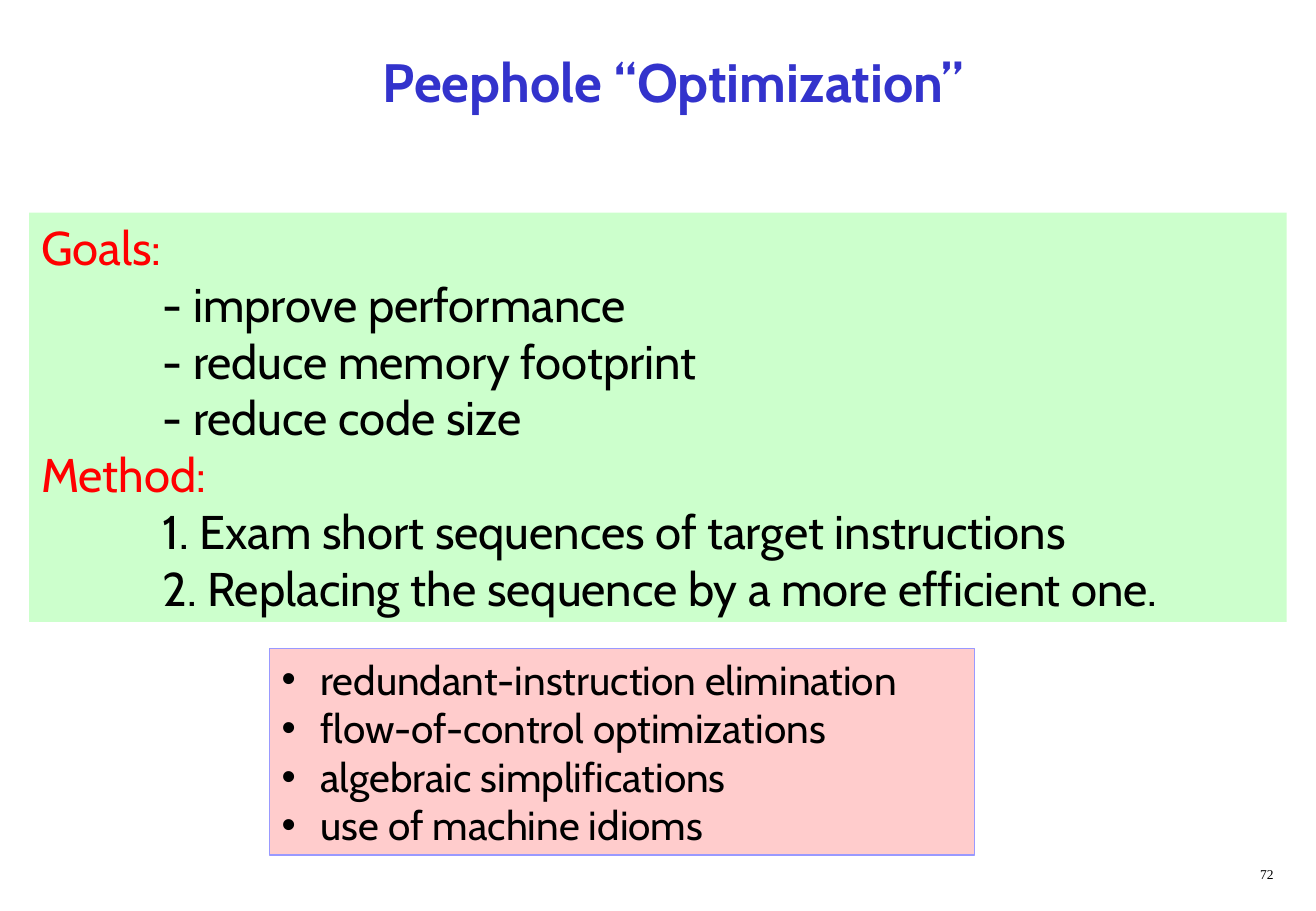
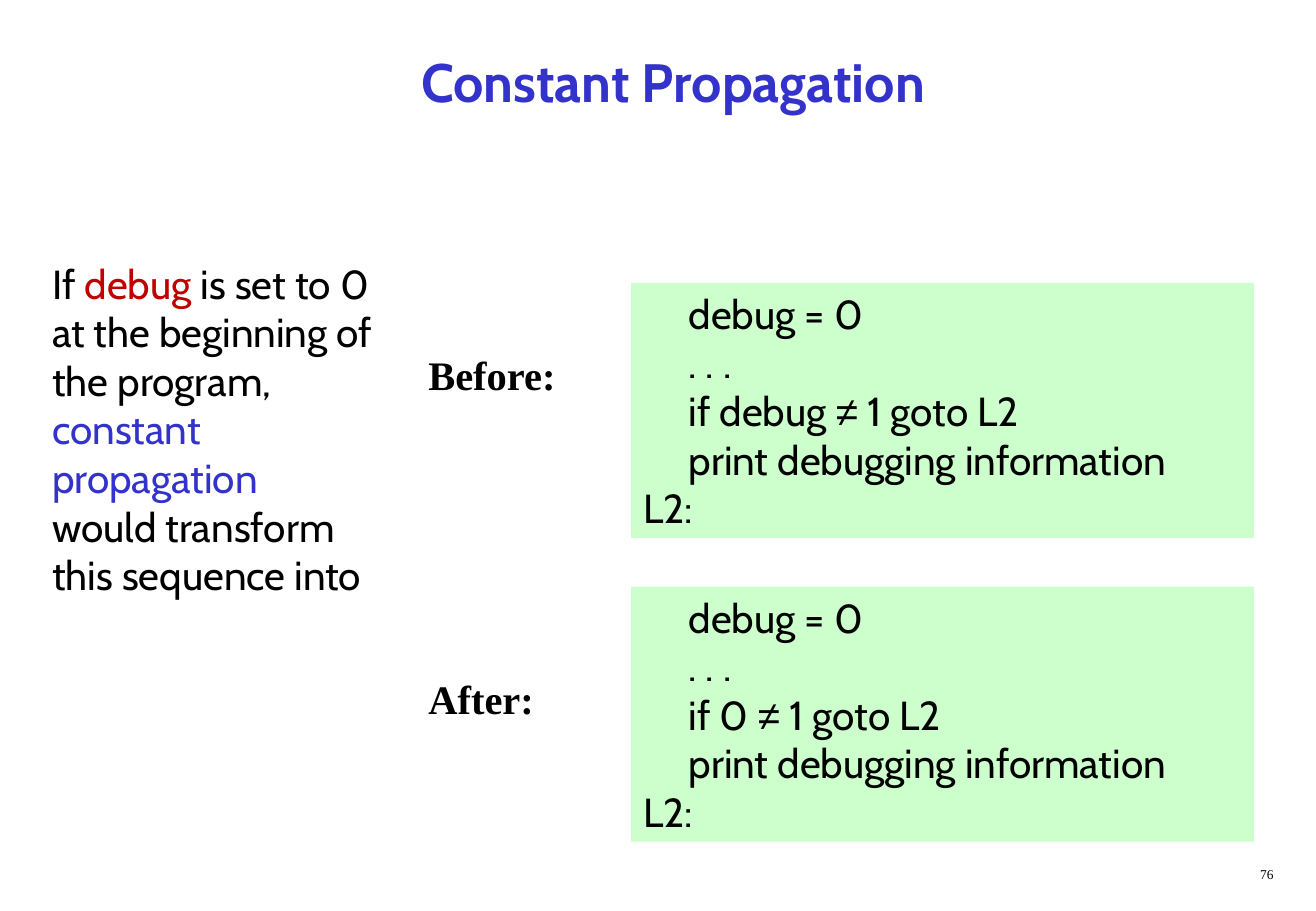
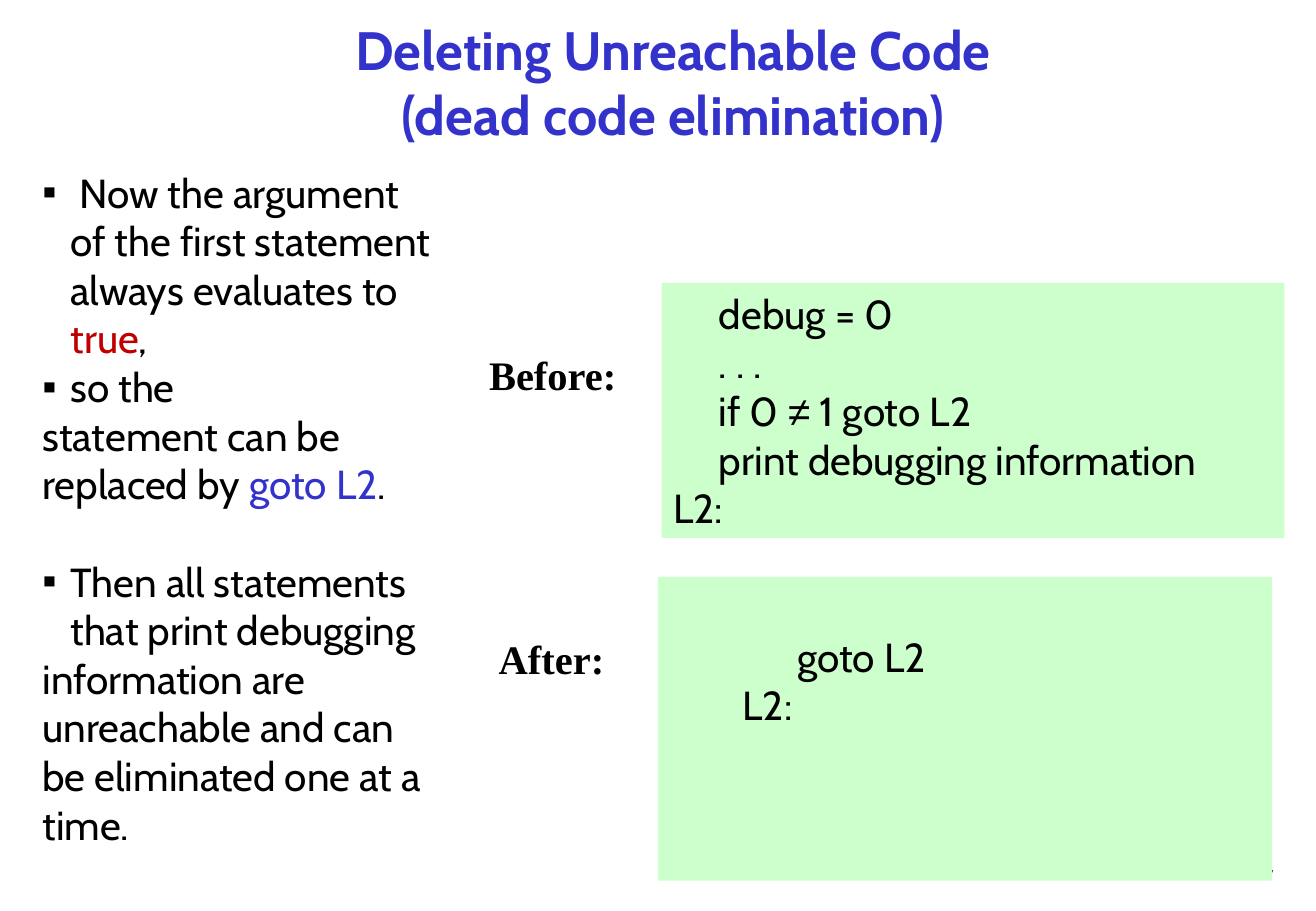
from lxml import etree
from pptx import Presentation
from pptx.dml.color import RGBColor
from pptx.enum import shapes, text
from pptx.oxml import ns
from pptx.util import Inches, Pt

COLORS = {"title": "3333CC", "black": "000000", "heading": "FF0000", "keyword": "C00000",
          "term": "3333CC", "green": "CCFFCC", "pink": "FFCCCC", "pink_line": "9999FF"}
SANS, SERIF, SYMBOL = "Cabin", "Times New Roman", "Arial"

GOALS = [
    ("Goals:", ["- improve performance", "- reduce memory footprint", "- reduce code size"]),
    ("Method:", ["1. Exam short sequences of target instructions",
                 "2. Replacing the sequence by a more efficient one."]),
]
DEBUG_TEST = ["     debug = 0", "     . . .", "     if debug ≠ 1 goto L2",
              "     print debugging information", "L2:"]
CONSTANT_TEST = [line.replace("if debug", "if 0") for line in DEBUG_TEST]
JUMP = ["              goto L2", "        L2:"]

# Body paragraphs: spans of (text, colour), with optional bullet, hang (inches) and gap (points)
SLIDES = [
    {"number": 72, "title": "Peephole “Optimization”",
     "body_at": (2.22, 5.34, 5.81, 1.7), "body_fill": "pink", "body_line": "pink_line",
     "body": [{"spans": [(line, "black")], "bullet": "•", "hang": 0.32} for line in (
         "redundant-instruction elimination", "flow-of-control optimizations",
         "algebraic simplifications", "use of machine idioms")],
     "goals_at": (0.24, 1.75, 10.36, 3.37)},
    {"number": 76, "title": "Constant Propagation",
     "body_at": (0.33, 2.08, 3, 3.7),
     "body": [
         {"spans": [("If ", "black"), ("debug", "keyword"),
                    (" is set to 0 at the beginning of the program, ", "black"),
                    ("constant propagation", "term")]},
         {"spans": [("would transform this sequence into", "black")]}],
     "labels": [("Before:", 3.43, 2.83), ("After:", 3.43, 5.5)],
     "code": [(DEBUG_TEST, (5.2, 2.33, 5.13, 2.1), 0.05),
              (CONSTANT_TEST, (5.2, 4.83, 5.13, 2.1), 0.05)]},
    {"number": 77, "title": "Deleting Unreachable Code\v(dead code elimination)",
     "body_at": (0.25, 1.33, 3.5, 5.7),
     "body": [
         {"spans": [(" Now the argument of the first statement always evaluates to ", "black"),
                    ("true", "keyword"), (",", "black")], "bullet": "▪", "hang": 0.23},
         {"spans": [("so the", "black")], "bullet": "▪", "hang": 0.23},
         {"spans": [("statement can be replaced by ", "black"), ("goto L2", "term"),
                    (".", "black")]},
         {"spans": [("Then all statements that print debugging", "black")],
          "bullet": "▪", "hang": 0.23, "gap": 29},
         {"spans": [("information are unreachable and can be eliminated one at a time.",
                     "black")]}],
     "labels": [("Before:", 3.93, 2.83), ("After:", 4.01, 5.17)],
     "code": [(CONSTANT_TEST, (5.45, 2.33, 5.13, 2.1), 0.05),
              (JUMP, (5.42, 4.75, 5.06, 2.5), 0.45)]},
]


def rgb(name):
    return RGBColor.from_string(COLORS[name])


def place(shape, at):
    shape.left, shape.top, shape.width, shape.height = map(Inches, at)


def prepare(frame):
    frame.word_wrap = True
    frame.auto_size = text.MSO_AUTO_SIZE.NONE
    frame.vertical_anchor = text.MSO_ANCHOR.TOP


def paragraphs(frame, count):
    """Return the given number of paragraphs, starting with the one already there."""
    return [frame.paragraphs[0]] + [frame.add_paragraph() for _ in range(count - 1)]


def set_indent(para, left, first=0.0, bullet=None):
    props = para._p.get_or_add_pPr()
    props.set("marL", str(Inches(left)))
    props.set("indent", str(Inches(first)))
    if bullet:
        etree.SubElement(props, ns.qn("a:buFont")).set("typeface", SYMBOL)
        etree.SubElement(props, ns.qn("a:buChar")).set("char", bullet)
    else:
        etree.SubElement(props, ns.qn("a:buNone"))


def add_span(para, words, size, color="black", font=SANS, bold=False):
    span = para.add_run()
    span.text = words
    span.font.name, span.font.size, span.font.bold = font, Pt(size), bold
    span.font.color.rgb = rgb(color)


def add_green_box(page, at):
    box = page.shapes.add_shape(shapes.MSO_SHAPE.RECTANGLE, *map(Inches, at))
    box.shadow.inherit = False
    box.fill.solid()
    box.fill.fore_color.rgb = rgb("green")
    box.line.fill.background()
    prepare(box.text_frame)
    return box.text_frame


def add_goals(page, at):
    lines = []
    for heading, items in GOALS:
        lines += [(heading, "heading", 0)] + [(item, "black", 1) for item in items]
    for para, (words, color, left) in zip(paragraphs(add_green_box(page, at), len(lines)), lines):
        para.alignment = text.PP_ALIGN.LEFT
        set_indent(para, left)
        add_span(para, words, 28, color)


def add_code(page, lines, at, top_inset):
    frame = add_green_box(page, at)
    frame.margin_top = Inches(top_inset)
    for para, line in zip(paragraphs(frame, len(lines)), lines):
        para.alignment = text.PP_ALIGN.LEFT
        for part in line.partition("≠"):
            if part:
                add_span(para, part, 24, font=SYMBOL if part == "≠" else SANS)


def add_label(page, words, at, size, bold=False, align=text.PP_ALIGN.LEFT):
    box = page.shapes.add_textbox(*map(Inches, at))
    prepare(box.text_frame)
    para = box.text_frame.paragraphs[0]
    para.alignment = align
    add_span(para, words, size, font=SERIF, bold=bold)


def fill_body(body, content):
    place(body, content["body_at"])
    if "body_fill" in content:
        body.fill.solid()
        body.fill.fore_color.rgb = rgb(content["body_fill"])
        body.line.color.rgb = rgb(content["body_line"])
        body.line.width = Pt(0.75)
    prepare(body.text_frame)
    for para, item in zip(paragraphs(body.text_frame, len(content["body"])), content["body"]):
        hang = item.get("hang", 0)
        set_indent(para, hang, -hang, item.get("bullet"))
        para.space_before = Pt(item.get("gap", 0))
        for words, color in item["spans"]:
            add_span(para, words, 24, color)


def style_titles(deck, layout):
    """Set the title's place and type once, for every slide."""
    place(layout.placeholders[0], (0.42, 0.17, 10.25, 1))
    style = deck.slide_master.element.find(".//" + ns.qn("p:titleStyle"))
    props = style.find(ns.qn("a:lvl1pPr")).find(ns.qn("a:defRPr"))
    props.set("sz", "3200")
    props.set("b", "1")
    props.find(ns.qn("a:latin")).set("typeface", SANS)
    fill = props.find(ns.qn("a:solidFill"))
    fill.remove(fill[0])
    etree.SubElement(fill, ns.qn("a:srgbClr")).set("val", COLORS["title"])


def build_slide(deck, layout, content):
    page = deck.slides.add_slide(layout)
    page.shapes.title.text_frame.text = content["title"]
    page.shapes.title.text_frame.auto_size = text.MSO_AUTO_SIZE.NONE
    fill_body(page.placeholders[1], content)
    add_label(page, str(content["number"]), (8.33, 7.08, 2.26, 0.25), 8,
              align=text.PP_ALIGN.RIGHT)
    if "goals_at" in content:
        add_goals(page, content["goals_at"])
    for words, left, top in content.get("labels", []):
        add_label(page, words, (left, top, 1.25, 0.5), 24, bold=True)
    for lines, at, top_inset in content.get("code", []):
        add_code(page, lines, at, top_inset)


def main():
    deck = Presentation()
    deck.slide_width, deck.slide_height = Inches(10.84), Inches(7.5)
    layout = deck.slide_layouts[1]
    style_titles(deck, layout)
    for content in SLIDES:
        build_slide(deck, layout, content)
    deck.save("out.pptx")


if __name__ == "__main__":
    main()
